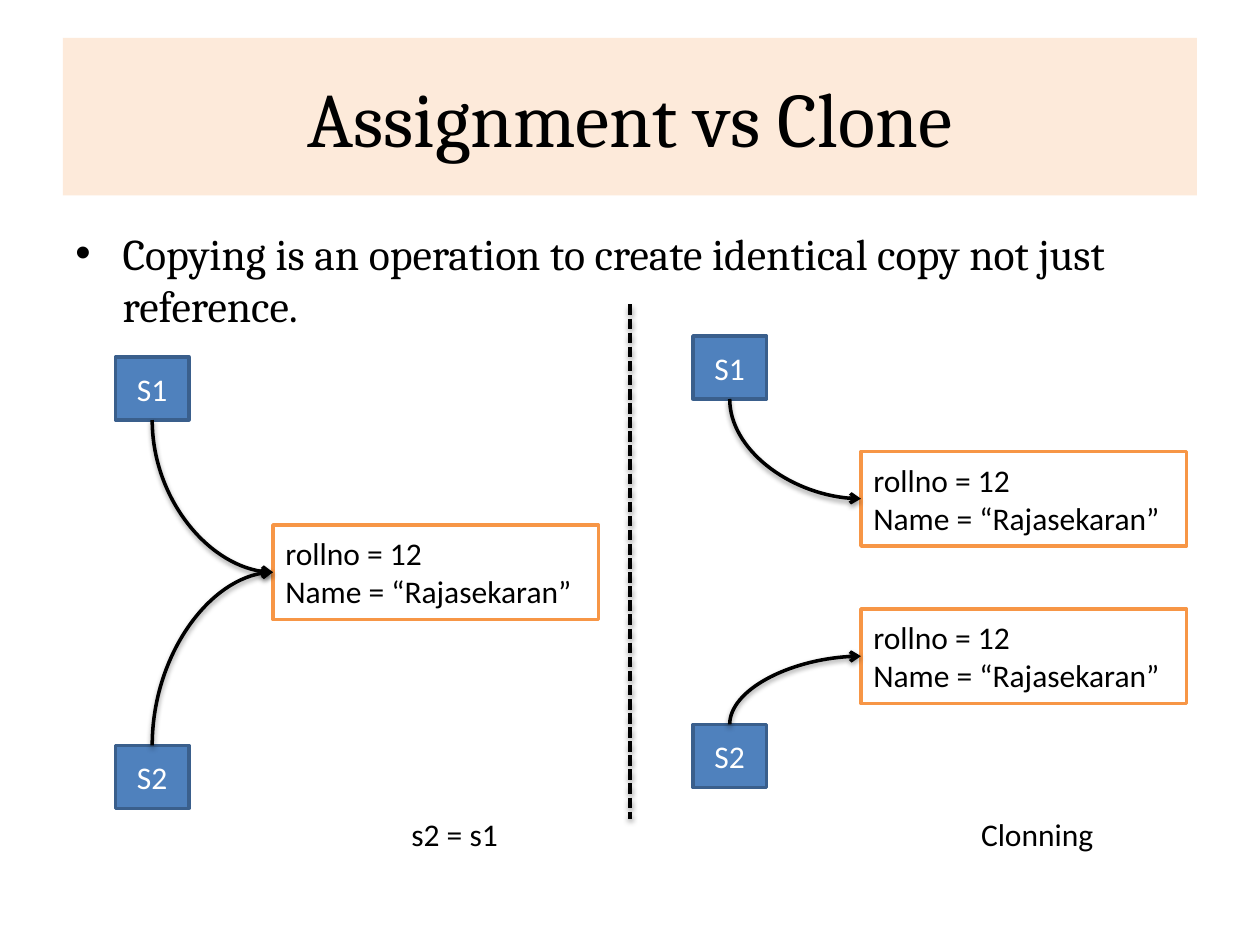
from dataclasses import dataclass
from lxml.etree import SubElement as sub
from pptx import Presentation
from pptx.dml.color import RGBColor as RGB
from pptx.enum.dml import MSO_LINE as Dash
from pptx.enum.shapes import MSO_CONNECTOR as Link, MSO_SHAPE as Shape
from pptx.enum.text import MSO_ANCHOR as Anchor, MSO_AUTO_SIZE as Fit, PP_ALIGN as Align
from pptx.oxml.ns import qn
from pptx.util import Pt


@dataclass(frozen=True)
class Theme:
    """Colours, fonts and sizes of the slide."""
    ink: str = "000000"
    white: str = "FFFFFF"
    peach: str = "FDEADA"
    blue: str = "4F81BD"
    navy: str = "3A5F8C"
    orange: str = "F79646"
    serif: str = "Cambria"
    sans: str = "Calibri"
    head: int = 44
    body: int = 25
    label: int = 18
    line: int = 2


T = Theme()
RECORD = ("rollno = 12", "Name = “Rajasekaran”")
REF = (42, 36)
DATA = (186, 54)


def write(frame, lines, size=T.label, face=T.sans, ink=T.ink, align=Align.LEFT):
    """Fill a text frame with one paragraph per line."""
    frame.text = "\n".join(lines)
    for para in frame.paragraphs:
        para.alignment = align
        font = para.font
        font.size, font.name = Pt(size), face
        font.color.rgb = RGB.from_string(ink)


def box(slide, x, y, area, lines, fill, edge=None, **style):
    """Add a rectangle with text centred in its height."""
    rect = slide.shapes.add_shape(Shape.RECTANGLE, Pt(x), Pt(y), *map(Pt, area))
    rect.shadow.inherit = False
    rect.fill.solid()
    rect.fill.fore_color.rgb = RGB.from_string(fill)
    if edge:
        rect.line.color.rgb = RGB.from_string(edge)
        rect.line.width = Pt(T.line)
    else:
        rect.line.fill.background()
    rect.text_frame.word_wrap = True
    rect.text_frame.vertical_anchor = Anchor.MIDDLE
    write(rect.text_frame, lines, **style)


def note(slide, x, y, w, h, text, wrap=False, **style):
    """Add a plain text box and return its paragraph."""
    area = slide.shapes.add_textbox(*map(Pt, (x, y, w, h)))
    frame = area.text_frame
    frame.word_wrap = wrap
    frame.auto_size = Fit.NONE if wrap else Fit.SHAPE_TO_FIT_TEXT
    write(frame, [text], **style)
    return frame.paragraphs[0]


def bullet(para, indent):
    """Give a paragraph a round bullet and a hanging indent."""
    para.space_before = Pt(T.body * 0.2)
    props = para._p.get_or_add_pPr()
    props.set("marL", str(int(Pt(indent))))
    props.set("indent", str(-int(Pt(indent))))
    mark = sub(props, qn("a:buFont"), typeface="Arial")
    char = sub(props, qn("a:buChar"), char="•")
    props.find(qn("a:spcBef")).addnext(mark)
    mark.addnext(char)


def stroke(slide, kind, *ends):
    """Add a dark connector with a soft shadow below it."""
    link = slide.shapes.add_connector(kind, *map(Pt, ends))
    link.line.color.rgb = RGB.from_string(T.ink)
    link.line.width = Pt(T.line)
    glow = sub(sub(link._element.spPr, qn("a:effectLst")), qn("a:outerShdw"),
               blurRad=str(int(Pt(3.1))), dist=str(int(Pt(1.6))), dir="5400000", rotWithShape="0")
    tint = sub(glow, qn("a:srgbClr"), val=T.ink)
    sub(tint, qn("a:alpha"), val="38000")
    return link


def curve(slide, x, y, to_x, to_y):
    """Add a quarter-turn arrow that leaves upright and lands level."""
    mid_x, mid_y = (x + to_x) / 2, (y + to_y) / 2
    down = to_y > y
    wide, high = abs(to_y - y) / 2, (to_x - x) / 2
    rise = high if down else -high
    link = stroke(slide, Link.CURVE, mid_x + wide, mid_y - rise, mid_x - wide, mid_y + rise)
    props = link._element.spPr
    props.find(qn("a:xfrm")).set("rot", str((270 if down else 90) * 60000))
    props.find(qn("a:prstGeom")).set("prst", "curvedConnector2")
    sub(props.find(qn("a:ln")), qn("a:tailEnd"), type="arrow")


def panel(slide, x, top, data_x, rows):
    """Draw S1 and S2 with an arrow from each to its record."""
    low = top + 222
    for y in sorted(set(rows)):
        box(slide, data_x, y, DATA, RECORD, T.white, T.orange)
    for name, y in (("S1", top), ("S2", low)):
        box(slide, x, y, REF, [name], T.blue, T.navy, ink=T.white, align=Align.CENTER)
    for start, y in zip((top + REF[1], low), rows):
        curve(slide, x + REF[0] / 2, start, data_x, y + DATA[1] / 2)


def main():
    """Build and save the slide."""
    deck = Presentation()
    deck.slide_width, deck.slide_height = Pt(720), Pt(540)
    slide = deck.slides.add_slide(deck.slide_layouts[6])
    box(slide, 36, 21.6, (648, 90), ["Assignment vs Clone"], T.peach,
        size=T.head, face=T.serif, align=Align.CENTER)
    text = "Copying is an operation to create identical copy not just reference."
    bullet(note(slide, 36, 126, 648, 96, text, wrap=True, size=T.body, face=T.serif), 27)
    panel(slide, 66, 204, 156, (300, 300))
    panel(slide, 396, 192, 492, (258, 348))
    stroke(slide, Link.STRAIGHT, 360, 174, 360, 468).line.dash_style = Dash.SQUARE_DOT
    note(slide, 228, 462, 65, 29, "s2 = s1")
    note(slide, 553.5, 462, 79, 29, "Clonning")
    deck.save("out.pptx")


main()
